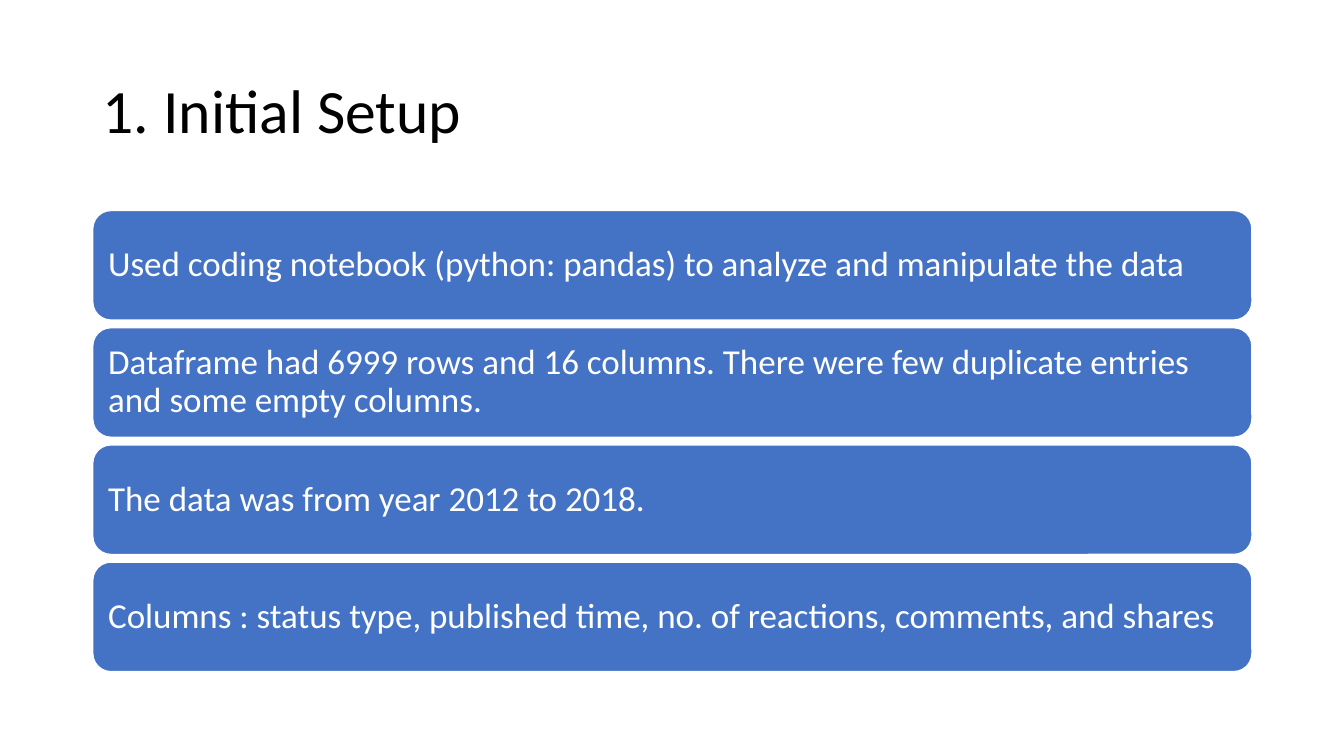
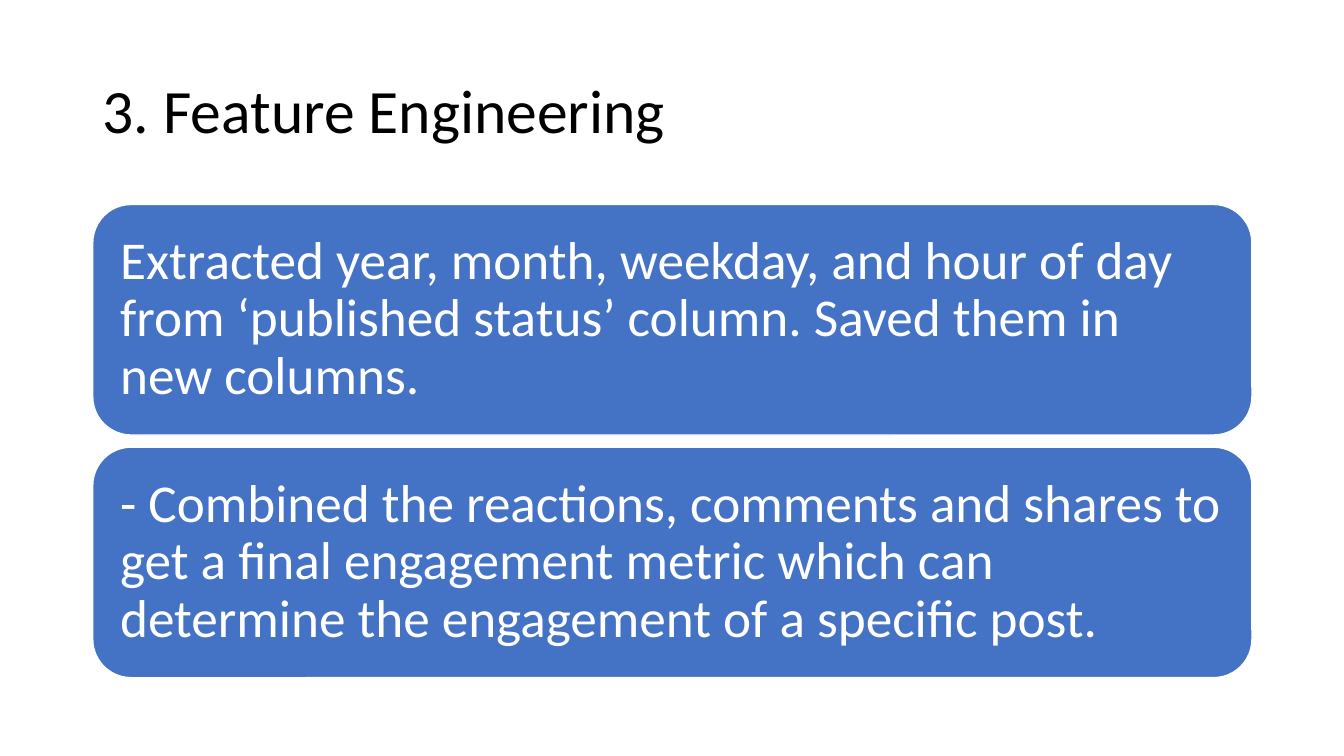
"""Build two slides of titled, stacked cards."""
import pptx
import pptx.dml.color
import pptx.enum.shapes
import pptx.enum.text
import pptx.util


def rgb(value):
    return pptx.dml.color.RGBColor.from_string(value)


def write(sp, text, *, size, color, font, inset_x, inset_y):
    tf = sp.text_frame
    tf.word_wrap = True
    tf.vertical_anchor = pptx.enum.text.MSO_ANCHOR.MIDDLE
    tf.margin_left = tf.margin_right = inset_x
    tf.margin_top = tf.margin_bottom = inset_y
    p = tf.paragraphs[0]
    p.alignment = pptx.enum.text.PP_ALIGN.LEFT
    p.line_spacing = 0.9
    r = p.add_run()
    r.text = text
    r.font.size = pptx.util.Pt(size)
    r.font.name = font
    r.font.color.rgb = rgb(color)


class Deck:
    FONT = "Calibri"
    BLUE, WHITE, BLACK = "4472C4", "FFFFFF", "000000"
    LEFT, WIDTH = 6.9, 86.25
    TITLE_TOP, TITLE_HEIGHT = 5.33, 19.33
    STACK_MIDDLE = 58.35

    def __init__(self):
        self.prs = pptx.Presentation()
        self.prs.slide_width = pptx.util.Inches(13.33)
        self.prs.slide_height = pptx.util.Inches(7.5)
        self.s = None

    def x(self, percent):
        return round(self.prs.slide_width * percent / 100)

    def y(self, percent):
        return round(self.prs.slide_height * percent / 100)

    def box(self, top, height):
        return self.x(self.LEFT), self.y(top), self.x(self.WIDTH), self.y(height)

    def slide(self, title):
        self.s = self.prs.slides.add_slide(self.prs.slide_layouts[6])
        sp = self.s.shapes.add_textbox(*self.box(self.TITLE_TOP, self.TITLE_HEIGHT))
        write(sp, title, size=44, color=self.BLACK, font=self.FONT,
              inset_x=self.x(0.75), inset_y=self.y(0.67))

    def card(self, text, top, height, size, inset):
        sp = self.s.shapes.add_shape(
            pptx.enum.shapes.MSO_SHAPE.ROUNDED_RECTANGLE, *self.box(top, height))
        sp.shadow.inherit = False
        sp.fill.solid()
        sp.fill.fore_color.rgb = rgb(self.BLUE)
        sp.line.color.rgb = rgb(self.WHITE)
        sp.line.width = pptx.util.Pt(1)
        write(sp, text, size=size, color=self.WHITE, font=self.FONT,
              inset_x=self.x(inset), inset_y=self.x(inset))

    def stack(self, texts, height, gap, size, inset):
        pitch = height + gap
        first = self.STACK_MIDDLE - (len(texts) * pitch - gap) / 2
        for i, text in enumerate(texts):
            self.card(text, first + i * pitch, height, size, inset)


deck = Deck()

deck.slide("1. Initial Setup")
deck.stack([
    "Used coding notebook (python: pandas) to analyze and manipulate the data",
    "Dataframe had 6999 rows and 16 columns. There were few duplicate entries "
    "and some empty columns.",
    "The data was from year 2012 to 2018.",
    "Columns : status type, published time, no. of reactions, comments, and shares",
], height=14.5, gap=1, size=25, inset=0.75)

deck.slide("3. Feature Engineering")
deck.stack([
    "Extracted year, month, weekday, and hour of day from ‘published status’ "
    "column. Saved them in new columns.",
    "- Combined the reactions, comments and shares to get a final engagement "
    "metric which can determine the engagement of a specific post.",
], height=30.5, gap=1.6, size=38, inset=1.2)

deck.prs.save("out.pptx")
